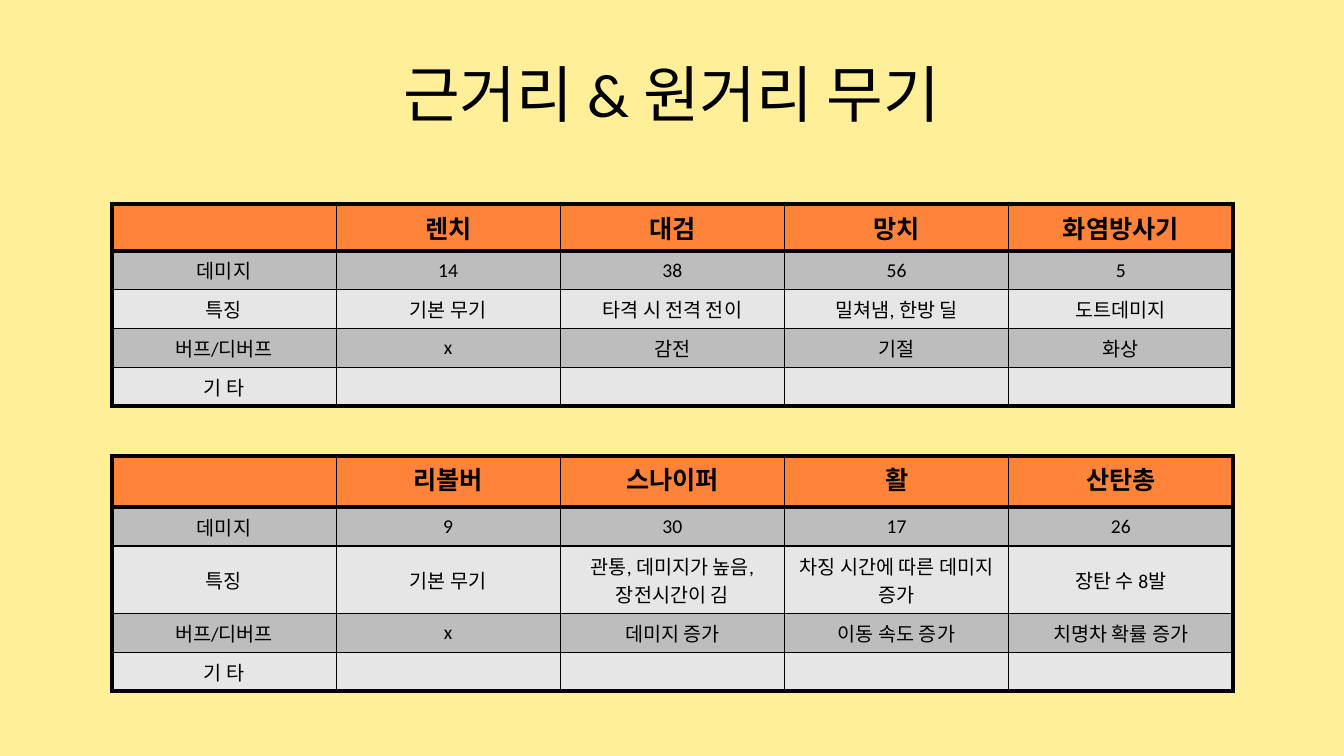
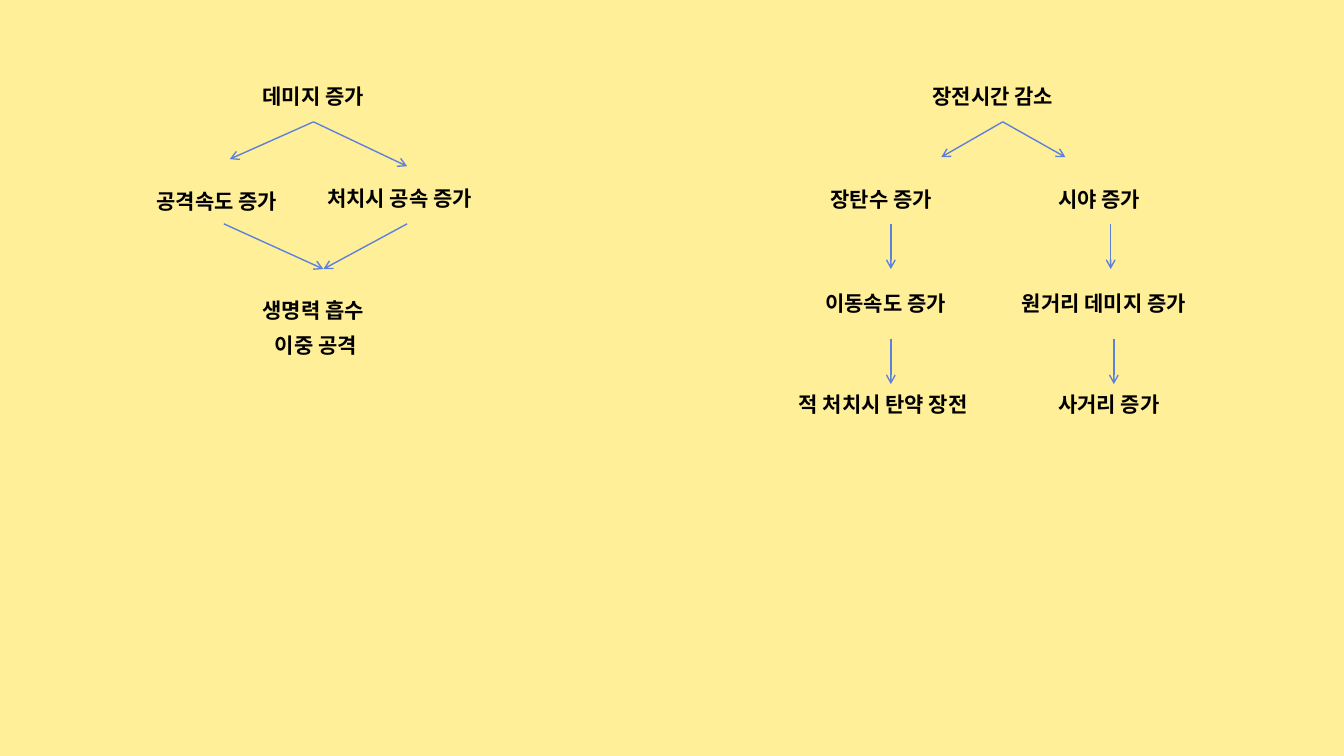
"""Build two slides: weapon tables and upgrade paths."""
from lxml import etree
from pptx import Presentation
from pptx.dml.color import RGBColor
from pptx.enum import shapes, text
from pptx.oxml.ns import qn
from pptx.util import Cm, Pt

FONT = "Calibri"
COLOURS = {
    "background": "FFEF99",
    "text": "000000",
    "header": "FF843A",
    "dark_row": "BDBDBD",
    "light_row": "E6E6E6",
    "border": "000000",
    "arrow": "5E81D9",
}
THIN, HEADER_RULE, OUTER = 1, 2.79, 3.15

TITLE = "근거리 & 원거리 무기"
TABLE_LEFT, COLUMN_WIDTH = 2.82, 5.65
ROW_HEIGHT, TWO_LINE_HEIGHT = 0.98, 1.7
WEAPON_TABLES = [
    {
        "top": 5.14,
        "heights": [1.18] + [ROW_HEIGHT] * 4,
        "rows": [
            ["", "렌치", "대검", "망치", "화염방사기"],
            ["데미지", "14", "38", "56", "5"],
            ["특징", "기본 무기", "타격 시 전격 전이", "밀쳐냄, 한방 딜", "도트데미지"],
            ["버프/디버프", "x", "감전", "기절", "화상"],
            ["기 타", "", "", "", ""],
        ],
    },
    {
        "top": 11.48,
        "heights": [1.3, ROW_HEIGHT, TWO_LINE_HEIGHT, ROW_HEIGHT, ROW_HEIGHT],
        "rows": [
            ["", "리볼버", "스나이퍼", "활", "산탄총"],
            ["데미지", "9", "30", "17", "26"],
            ["특징", "기본 무기", "관통, 데미지가 높음, 장전시간이 김",
             "차징 시간에 따른 데미지 증가", "장탄 수 8발"],
            ["버프/디버프", "x", "데미지 증가", "이동 속도 증가", "치명차 확률 증가"],
            ["기 타", "", "", "", ""],
        ],
    },
]

LABEL_HEIGHT = 1.2
# label, left, vertical centre, width
UPGRADES = [
    ("데미지 증가", 6.37, 2.42, 3.91),
    ("공격속도 증가", 3.7, 5.06, 4.22),
    ("처치시 공속 증가", 8, 5, 4.55),
    ("생명력 흡수", 6.37, 7.81, 3.61),
    ("이중 공격", 6.68, 8.69, 2.97),
    ("장전시간 감소", 23.25, 2.42, 4.22),
    ("장탄수 증가", 20.68, 5.02, 4.04),
    ("시야 증가", 26.42, 5.02, 3.1),
    ("이동속도 증가", 20.55, 7.64, 4.22),
    ("원거리 데미지 증가", 25.5, 7.64, 5.18),
    ("적 처치시 탄약 장전", 19.88, 10.18, 5.18),
    ("사거리 증가", 26.42, 10.18, 4.22),
]
DAMAGE, MERGE, RELOAD = (7.9, 3.07), (8.15, 6.78), (25.27, 3.07)
ARROWS = [
    (DAMAGE, (5.79, 4.01)),
    (DAMAGE, (10.26, 4.19)),
    ((5.64, 5.64), MERGE),
    ((10.26, 5.64), MERGE),
    (RELOAD, (23.72, 3.96)),
    (RELOAD, (26.85, 3.96)),
    ((22.45, 5.64), (22.45, 6.78)),
    ((27.99, 5.64), (27.99, 6.78)),
    ((22.45, 8.53), (22.45, 9.68)),
    ((28.07, 8.53), (28.07, 9.68)),
]


def colour(name):
    return RGBColor.from_string(COLOURS[name])


def add_page(deck):
    page = deck.slides.add_slide(deck.slide_layouts[6])
    page.background.fill.solid()
    page.background.fill.fore_color.rgb = colour("background")
    return page


def write(para, words, size, bold=False, align=text.PP_ALIGN.CENTER):
    para.alignment = align
    if not words:
        etree.SubElement(para._p, qn("a:endParaRPr"), sz=str(size * 100))
        return
    span = para.add_run()
    span.text = words
    span.font.name = FONT
    span.font.size = Pt(size)
    span.font.bold = bold
    span.font.color.rgb = colour("text")


def add_text(page, words, left, top, width, height, size, **style):
    box = page.shapes.add_textbox(Cm(left), Cm(top), Cm(width), Cm(height))
    frame = box.text_frame
    frame.word_wrap = True
    frame.vertical_anchor = text.MSO_ANCHOR.MIDDLE
    write(frame.paragraphs[0], words, size, **style)


def add_border(cell, side, width):
    line = etree.SubElement(cell._tc.get_or_add_tcPr(), qn(f"a:ln{side}"), w=str(Pt(width)))
    fill = etree.SubElement(line, qn("a:solidFill"))
    etree.SubElement(fill, qn("a:srgbClr"), val=COLOURS["border"])


def add_weapon_table(page, top, heights, rows):
    last_row, last_column = len(rows) - 1, len(rows[0]) - 1
    table = page.shapes.add_table(
        len(rows), len(rows[0]), Cm(TABLE_LEFT), Cm(top),
        Cm(COLUMN_WIDTH * len(rows[0])), Cm(sum(heights))).table
    table.first_row = table.horz_banding = False
    for column in table.columns:
        column.width = Cm(COLUMN_WIDTH)
    for r, (row, height) in enumerate(zip(rows, heights)):
        table.rows[r].height = Cm(height)
        header = r == 0
        for c, words in enumerate(row):
            cell = table.cell(r, c)
            borders = {
                "L": OUTER if c == 0 else THIN,
                "R": OUTER if c == last_column else THIN,
                "T": {0: OUTER, 1: HEADER_RULE}.get(r, THIN),
                "B": {0: HEADER_RULE, last_row: OUTER}.get(r, THIN),
            }
            for side, width in borders.items():
                add_border(cell, side, width)
            cell.fill.solid()
            cell.fill.fore_color.rgb = colour(
                "header" if header else "dark_row" if r % 2 else "light_row")
            cell.vertical_anchor = text.MSO_ANCHOR.TOP if header else text.MSO_ANCHOR.MIDDLE
            write(cell.text_frame.paragraphs[0], words, 18 if header else 14, header)


def add_arrow(page, start, end):
    arrow = page.shapes.add_connector(
        shapes.MSO_CONNECTOR.STRAIGHT, *(Cm(value) for value in start + end))
    arrow.line.color.rgb = colour("arrow")
    arrow.line.width = Pt(1)
    etree.SubElement(arrow.line._get_or_add_ln(), qn("a:tailEnd"), type="arrow")
    etree.SubElement(arrow._element.spPr, qn("a:effectLst"))


def main():
    deck = Presentation()
    deck.slide_width, deck.slide_height = Cm(33.87), Cm(19.05)

    weapons = add_page(deck)
    add_text(weapons, TITLE, 1.69, 0.76, 30.48, 3.18, 44)
    for weapon_table in WEAPON_TABLES:
        add_weapon_table(weapons, **weapon_table)

    upgrades = add_page(deck)
    for words, left, middle, width in UPGRADES:
        add_text(upgrades, words, left, middle - LABEL_HEIGHT / 2, width, LABEL_HEIGHT,
                 15, bold=True, align=text.PP_ALIGN.LEFT)
    for start, end in ARROWS:
        add_arrow(upgrades, start, end)

    deck.save("out.pptx")


if __name__ == "__main__":
    main()
